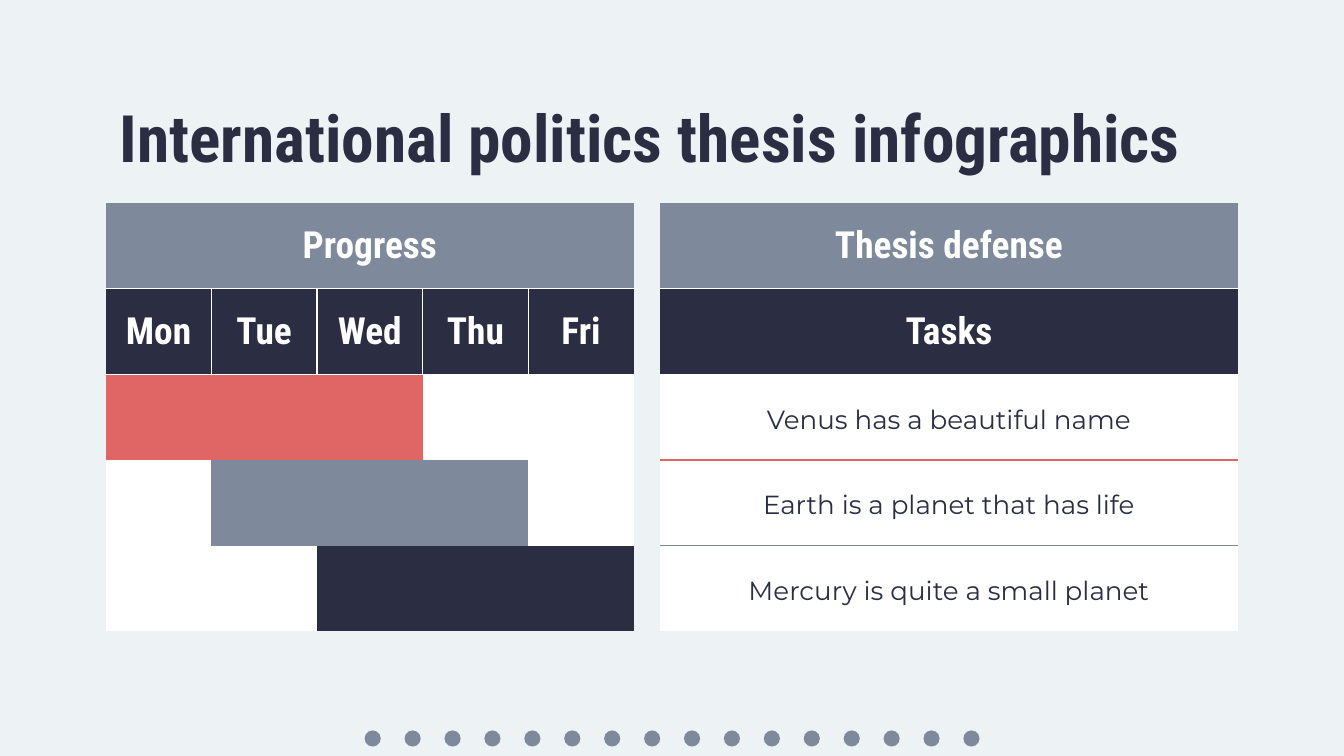
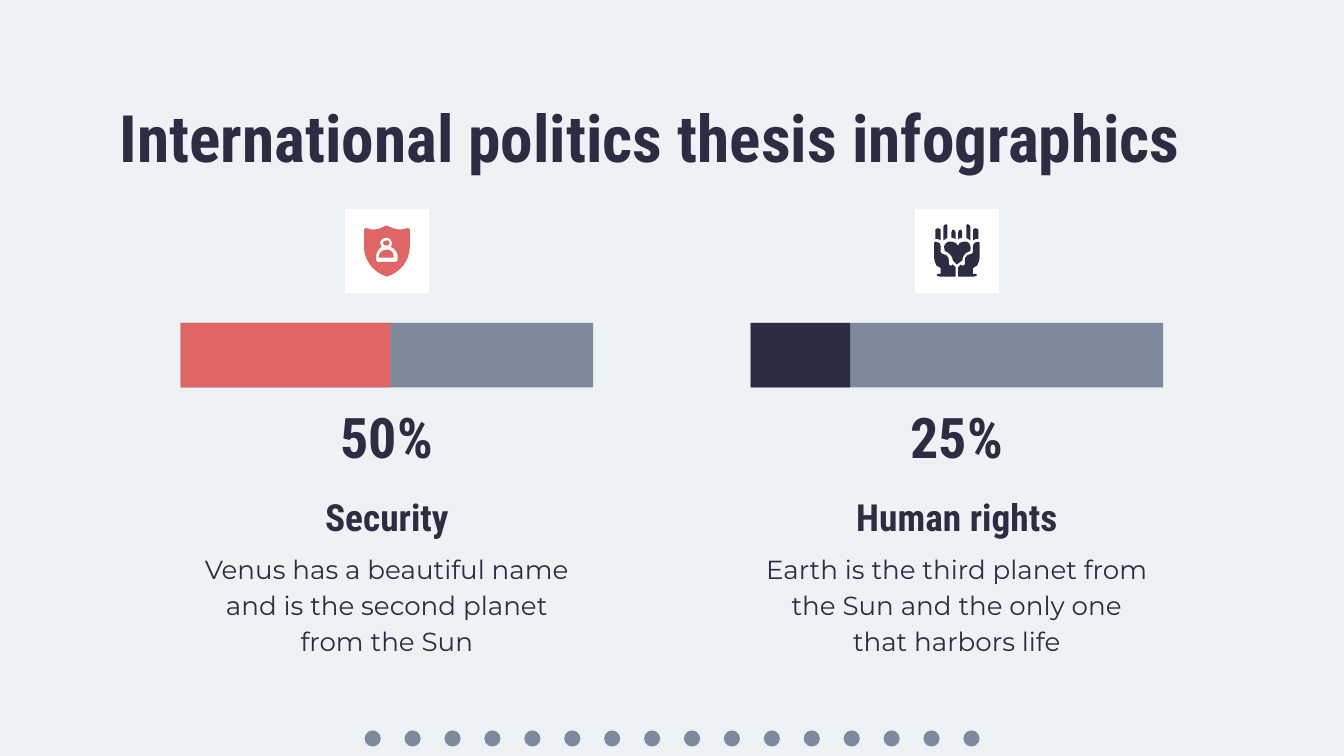
from lxml.etree import SubElement
from pptx import Presentation
from pptx.dml.color import RGBColor
from pptx.enum.shapes import MSO_SHAPE as SHAPE
from pptx.enum.text import MSO_ANCHOR as ANCHOR, PP_ALIGN as ALIGN
from pptx.oxml.ns import qn
from pptx.util import Emu, Inches, Pt

COLS, ROWS = 100, 56.25
CELL = Inches(10) / COLS
FINE = 0.1
LEFT = 7.9
NAVY, GRAY, RED, WHITE, PALE = "2B2D42", "7E899C", "E06666", "FFFFFF", "EDF2F4"
HEAD, BODY = "Roboto Condensed", "Montserrat"
TITLE = "International politics thesis infographics"
NO_STYLE = "{2D5ABB26-0587-4C30-8999-92F81FD0307C}"

CARD = 6.2
BAR_W, BAR_H = 30.7, 4.8
ROW_H = 6.38
DAYS = ["Mon", "Tue", "Wed", "Thu", "Fri"]
PROGRESS = [(RED, 0), (GRAY, 1), (NAVY, 2)]
DURATION = 3
TASKS = [
    ("Venus has a beautiful name", RED),
    ("Earth is a planet that has life", GRAY),
    ("Mercury is quite a small planet", None),
]

SHIELD = [
    "M31 30 C28 30 25 32 25 35 L25 36 L36 36 L36 35 C36 32 34 30 31 30",
    "M31 23 C29 23 28 24 28 25 C28 26 29 27 31 27 C32 27 33 26 33 25 "
    "C33 24 32 23 31 23",
    "M31 21 C33 21 35 23 35 25 C35 26 35 27 34 28 C37 29 39 32 39 35 L39 38 "
    "C39 38 38 39 38 39 L24 39 C23 39 23 38 23 38 L23 35 C23 32 25 29 27 28 "
    "C26 27 26 26 26 25 C26 23 28 21 31 21 "
    "M31 12 C31 12 31 12 30 12 C27 14 24 15 20 15 C19 15 17 14 16 14 "
    "C15 14 14 14 14 15 L14 28 C14 38 21 47 31 50 C41 47 48 38 48 28 L48 15 "
    "C48 14 47 14 46 14 C45 14 43 15 41 15 C38 15 35 14 31 12",
]
HEART = (
    "M27 24 C25 24 24 24 23 25 C21 27 21 29 22 31 C25 32 28 35 28 38 L31 41 "
    "L35 38 C35 35 37 32 41 31 C42 29 41 27 40 25 C39 24 38 24 36 24 "
    "C35 24 34 24 33 25 L32 27 L30 25 C29 24 28 24 27 24"
)
HAND = [
    "M17 14 C16 14 15 15 15 15 L15 22 C17 22 18 22 19 23 L19 15 C19 15 18 14 17 14",
    "M23 11 C22 11 21 12 21 13 L21 23 C22 22 23 22 24 21 L24 13 C24 12 24 11 23 11",
    "M28 15 C28 15 27 16 27 17 L27 21 C28 21 29 22 30 22 L30 17 C30 16 29 15 28 15",
    "M15 24 C15 24 14 24 14 25 L14 36 C14 38 15 40 16 42 L18 43 C19 44 19 44 19 44 "
    "L19 48 L18 48 C17 48 16 48 16 49 C16 49 17 50 18 50 L30 50 L30 43 L28 41 "
    "C28 41 27 42 27 42 C26 42 25 41 25 41 L25 38 C25 37 25 35 23 34 "
    "C22 33 21 33 20 33 C19 33 19 32 19 32 L19 28 C19 25 17 24 15 24",
]
MIRROR = 62


def g(n):
    return Emu(round(n * CELL))


def color(hex_value):
    return RGBColor.from_string(hex_value)


def write(tf, text, size=20, font=HEAD, fg=NAVY, bold=True, align=ALIGN.CENTER,
          spacing=None):
    p = tf.paragraphs[0]
    p.alignment = align
    if spacing:
        p.line_spacing = spacing
    r = p.add_run()
    r.text = text
    r.font.name, r.font.size, r.font.bold = font, Pt(size), bold
    r.font.color.rgb = color(fg)


def add_text(s, text, x, y, w, h, anchor=ANCHOR.MIDDLE, **fmt):
    tf = s.shapes.add_textbox(g(x), g(y), g(w), g(h)).text_frame
    tf.word_wrap = True
    tf.vertical_anchor = anchor
    tf.margin_left = tf.margin_right = tf.margin_top = tf.margin_bottom = g(1)
    write(tf, text, **fmt)


def paint(sp, fill, line=None):
    sp.shadow.inherit = False
    sp.fill.solid()
    sp.fill.fore_color.rgb = color(fill)
    if line:
        sp.line.color.rgb = color(line)
        sp.line.width = Pt(0.75)
    else:
        sp.line.fill.background()


def add_box(s, kind, x, y, w, h, fill, line=None):
    sp = s.shapes.add_shape(kind, g(x), g(y), g(w), g(h))
    if kind == SHAPE.ROUNDED_RECTANGLE:
        sp.adjustments[0] = 0
    paint(sp, fill, line)
    return sp


def bend(sp, curves):
    steps = list(sp._element.iter(qn("a:lnTo")))
    for start in curves:
        first, *others = steps[start:start + 3]
        first.tag = qn("a:cubicBezTo")
        for step in others:
            first.append(step[0])
            step.getparent().remove(step)


def add_outline(s, outline, x, y, fill, mirrored=False):
    def place(px, py):
        px = MIRROR - px if mirrored else px
        return g(x + px * FINE), g(y + py * FINE)

    fb, curves, count = None, [], 0
    for part in outline.replace("M", "|M").replace("L", "|L").replace("C", "|C").split("|")[1:]:
        n = [float(v) for v in part[1:].split()]
        pts = [place(*pt) for pt in zip(n[::2], n[1::2])]
        if part[0] != "M":
            if part[0] == "C":
                curves.append(count)
            fb.add_line_segments(pts, close=False)
            count += len(pts)
        elif fb is None:
            fb = s.shapes.build_freeform(*pts[0])
        else:
            fb.add_line_segments([], close=True)
            fb.move_to(*pts[0])
    fb.add_line_segments([], close=True)
    sp = fb.convert_to_shape()
    bend(sp, curves)
    paint(sp, fill)


def add_shield(s, x, y, fill):
    for outline in SHIELD:
        add_outline(s, outline, x, y, fill)


def add_hands(s, x, y, fill):
    add_outline(s, HEART, x, y, fill)
    for outline in HAND:
        for mirrored in (False, True):
            add_outline(s, outline, x, y, fill, mirrored)


def add_grid(s, x, y, widths, rows):
    frame = s.shapes.add_table(rows, len(widths), g(x), g(y), g(sum(widths)), g(rows * ROW_H))
    table = frame.table
    table.first_row = table.horz_banding = False
    table._tbl.tblPr.find(qn("a:tableStyleId")).text = NO_STYLE
    for column, w in zip(table.columns, widths):
        column.width = g(w)
    for row in table.rows:
        row.height = g(ROW_H)
    return table


def fill_cell(cell, fill, text=None, borders=(), **fmt):
    tcPr = cell._tc.get_or_add_tcPr()
    edges = dict(borders)
    for side in "LRTB":
        if edges.get(side):
            ln = SubElement(tcPr, qn("a:ln" + side), w=str(Pt(0.75)))
            SubElement(SubElement(ln, qn("a:solidFill")), qn("a:srgbClr"), val=edges[side])
    cell.fill.solid()
    cell.fill.fore_color.rgb = color(fill)
    cell.vertical_anchor = ANCHOR.MIDDLE
    cell.margin_left = cell.margin_right = cell.margin_top = cell.margin_bottom = g(1)
    if text:
        write(cell.text_frame, text, **fmt)


def fill_merged_row(table, row, fill, text, borders=(), **fmt):
    cells = list(table.rows[row].cells)
    cells[0].merge(cells[-1])
    for i, cell in enumerate(cells):
        fill_cell(cell, fill, None if i else text, borders, **fmt)


def add_footer_dots(prs, s):
    for i in range(16):
        sp = add_box(s, SHAPE.OVAL, 27.13 + i * 2.97, 54.35, 1.2, 1.2, GRAY)
        prs.slide_master.shapes._spTree.append(sp._element)


def add_slide(prs):
    s = prs.slides.add_slide(prs.slide_layouts[6])
    add_text(s, TITLE, LEFT, 6.2, COLS - 2 * LEFT, 6.2, ANCHOR.TOP, size=35, align=ALIGN.LEFT)
    return s


def add_schedule(s):
    top = 15.1
    tasks = add_grid(s, 49.12, top, [34.7, 8.3], 5)
    fill_merged_row(tasks, 0, GRAY, "Thesis defense", {"B": WHITE}, fg=WHITE)
    fill_merged_row(tasks, 1, NAVY, "Tasks", {"T": WHITE}, fg=WHITE)
    above = None
    for row, (text, below) in enumerate(TASKS, 2):
        fill_merged_row(tasks, row, WHITE, text, {"T": above, "B": below},
                        size=14, font=BODY, bold=False, spacing=1.15)
        above = below

    week = add_grid(s, 7.87, top, [7.86] * len(DAYS), 5)
    fill_merged_row(week, 0, GRAY, "Progress", {"B": WHITE}, fg=WHITE)
    for i, day in enumerate(DAYS):
        edges = {"T": WHITE, "L": WHITE if i else None,
                 "R": WHITE if i < len(DAYS) - 1 else None}
        fill_cell(week.cell(1, i), NAVY, day, edges, fg=WHITE)
        for row, (fill, start) in enumerate(PROGRESS, 2):
            busy = start <= i < start + DURATION
            fill_cell(week.cell(row, i), fill if busy else WHITE)


def add_topic(s, x, fill, done, percent, name, text, draw_icon):
    middle = x + BAR_W / 2
    card_x, card_y = middle - CARD / 2, 15.58
    add_text(s, name, x, 36.65, BAR_W, 3.6)
    add_text(s, text, x, 39.8, BAR_W, 9.7, ANCHOR.TOP,
             size=14, font=BODY, bold=False, spacing=1.15)
    add_text(s, percent, middle - 5.6, 29.65, 11.2, 5.6, size=30)
    for w, bar_fill in ((BAR_W, GRAY), (done, fill)):
        add_box(s, SHAPE.ROUNDED_RECTANGLE, x, 24.03, w, BAR_H, bar_fill)
    add_box(s, SHAPE.RECTANGLE, card_x, card_y, CARD, CARD, WHITE, WHITE)
    draw_icon(s, card_x, card_y, fill)


def main():
    prs = Presentation()
    prs.slide_width, prs.slide_height = g(COLS), g(ROWS)
    bg = prs.slide_master.background.fill
    bg.solid()
    bg.fore_color.rgb = color(PALE)

    s = add_slide(prs)
    add_footer_dots(prs, s)
    add_schedule(s)

    s = add_slide(prs)
    add_topic(s, 13.44, RED, 15.6, "50%", "Security",
              "Venus has a beautiful name and is the second planet from the Sun", add_shield)
    add_topic(s, 55.85, NAVY, 7.4, "25%", "Human rights",
              "Earth is the third planet from the Sun and the only one that harbors life",
              add_hands)
    prs.save("out.pptx")


if __name__ == "__main__":
    main()
